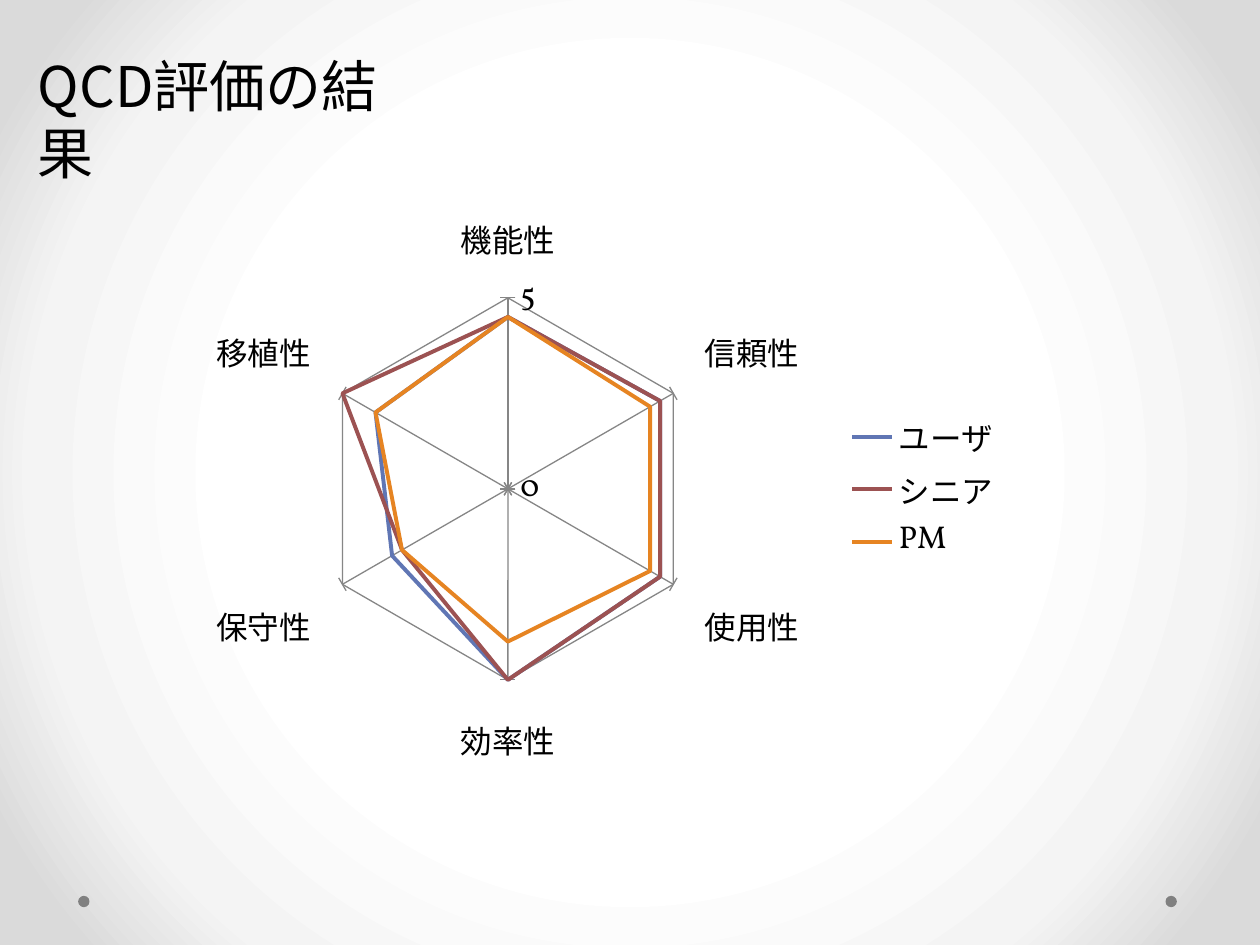
"""Build a slide with a radar chart of QCD evaluation results."""
from lxml.etree import SubElement
from pptx import Presentation
from pptx.chart.data import CategoryChartData
from pptx.dml.color import RGBColor
from pptx.enum.chart import XL_CHART_TYPE as ChartType, XL_LEGEND_POSITION as LegendPosition
from pptx.enum.chart import XL_TICK_MARK as TickMark
from pptx.enum.shapes import MSO_SHAPE as Shape
from pptx.enum.text import MSO_ANCHOR as Anchor, MSO_AUTO_SIZE as AutoSize, PP_ALIGN as Align
from pptx.oxml import parse_xml
from pptx.oxml.ns import nsdecls, qn
from pptx.util import Inches, Pt

TITLE = "QCD評価の結果"
CATEGORIES = ["機能性", "信頼性", "使用性", "効率性", "保守性", "移植性"]
SERIES = [
    ("ユーザ", [4.5, 4.6, 4.6, 5, 3.5, 4], "user"),
    ("シニア", [4.5, 4.6, 4.6, 5, 3.2, 5], "senior"),
    ("PM", [4.5, 4.3, 4.3, 4, 3.2, 4], "manager"),
]
BACKGROUND = [(50, "center"), (76, "middle"), (92, "edge")]
COLORS = {
    "text": "000000", "dot": "808080", "grid": "868686",
    "user": "6076B4", "senior": "9C5252", "manager": "E68422",
    "center": "FFFFFF", "middle": "F4F4F4", "edge": "DADADA",
}
FONT, ASIAN_FONT = "Vollkorn", "Noto Sans CJK JP"
WIDTH, HEIGHT = 10, 7.5
TITLE_BOX = (0.2, 0.36, 3.27, 0.64)
CHART_BOX = (1.38, 1.62, 6.67, 4.52)
DOT_LEFTS, DOT_TOP, DOT_SIZE = (0.62, 9.25), 7.11, 0.09


def color(name):
    return RGBColor.from_string(COLORS[name])


def inches(values):
    return [Inches(value) for value in values]


def style_font(font, name, size):
    font.name, font.size = name, Pt(size)
    font.color.rgb = color("text")
    properties = font._element if hasattr(font, "_element") else font._rPr
    SubElement(properties, qn("a:ea")).set("typeface", ASIAN_FONT)


def paint_background(slide):
    slide.background.fill.solid()
    properties = slide.background._cSld.bg.bgPr
    stops = "".join(
        f'<a:gs pos="{share * 1000}"><a:srgbClr val="{COLORS[name]}"/></a:gs>'
        for share, name in BACKGROUND
    )
    gradient = parse_xml(
        f'<a:gradFill {nsdecls("a")} rotWithShape="1"><a:gsLst>{stops}</a:gsLst>'
        '<a:path path="circle"><a:fillToRect l="50000" t="50000" r="50000" b="50000"/>'
        "</a:path></a:gradFill>"
    )
    properties.replace(properties.find(qn("a:solidFill")), gradient)


def add_dots(slide):
    for left in DOT_LEFTS:
        dot = slide.shapes.add_shape(Shape.OVAL, *inches((left, DOT_TOP, DOT_SIZE, DOT_SIZE)))
        dot.shadow.inherit = False
        dot.fill.solid()
        dot.fill.fore_color.rgb = color("dot")
        dot.line.fill.background()


def add_title(slide):
    title = slide.shapes.title
    title.left, title.top, title.width, title.height = inches(TITLE_BOX)
    frame = title.text_frame
    frame.word_wrap = True
    frame.auto_size = AutoSize.NONE
    frame.vertical_anchor = Anchor.TOP
    para = frame.paragraphs[0]
    para.alignment = Align.LEFT
    span = para.add_run()
    span.text = TITLE
    style_font(span.font, ASIAN_FONT, 32)


def add_radar(slide):
    data = CategoryChartData()
    data.categories = CATEGORIES
    for name, values, _ in SERIES:
        data.add_series(name, values)
    chart = slide.shapes.add_chart(ChartType.RADAR, *inches(CHART_BOX), data).chart
    style_font(chart.font, FONT, 18)
    chart.has_title = False
    chart.has_legend = True
    chart.legend.position = LegendPosition.RIGHT
    chart.legend.include_in_layout = False

    scale = chart.value_axis
    scale.minimum_scale, scale.maximum_scale, scale.major_unit = 0, 5, 5
    scale.major_tick_mark = TickMark.CROSS
    chart.category_axis.major_tick_mark = TickMark.OUTSIDE
    for axis in (scale, chart.category_axis):
        axis.has_major_gridlines = True
        for line in (axis.format.line, axis.major_gridlines.format.line):
            line.color.rgb = color("grid")
            line.width = Pt(0.75)

    for series, (_, _, name) in zip(chart.plots[0].series, SERIES):
        series.smooth = False
        series.format.line.color.rgb = color(name)
        series.format.line.width = Pt(2.25)


def main():
    deck = Presentation()
    deck.slide_width, deck.slide_height = Inches(WIDTH), Inches(HEIGHT)
    slide = deck.slides.add_slide(deck.slide_layouts[5])
    paint_background(slide)
    add_dots(slide)
    add_title(slide)
    add_radar(slide)
    deck.save("out.pptx")


if __name__ == "__main__":
    main()
